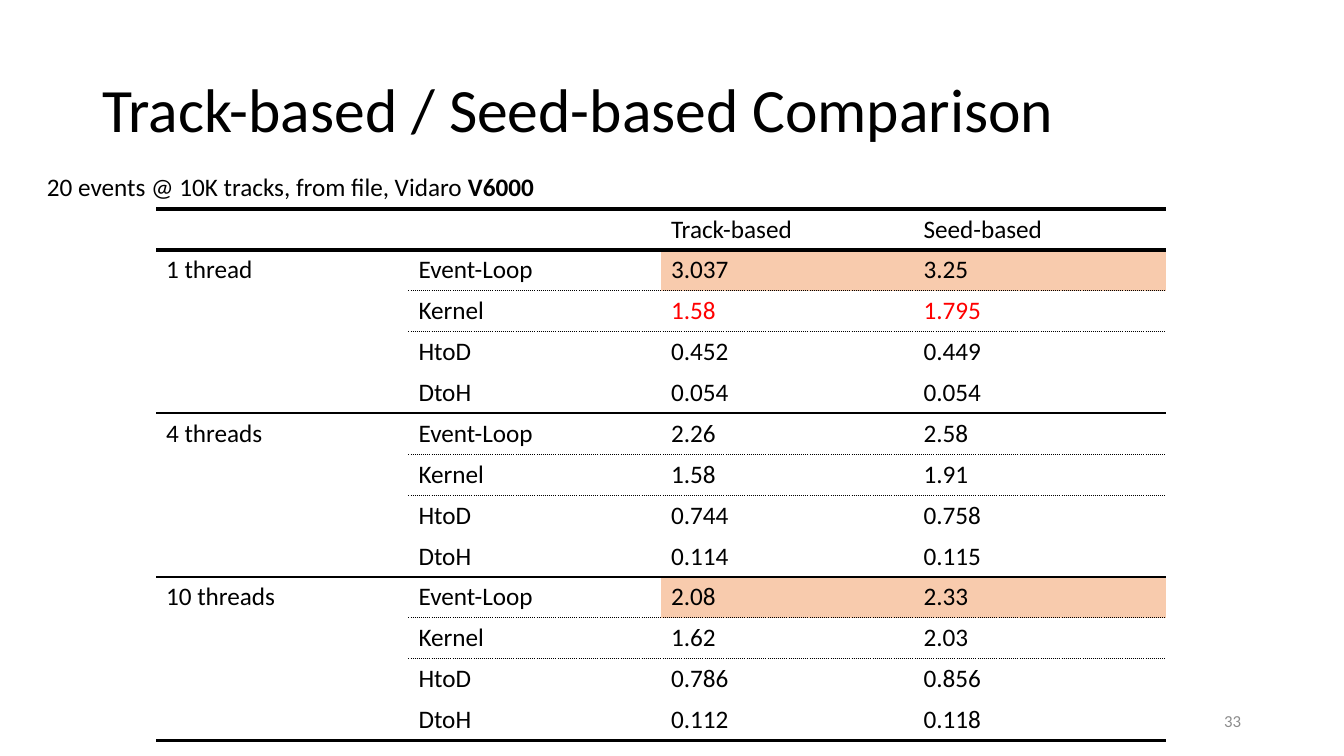
from dataclasses import dataclass
from lxml.etree import SubElement
from pptx import Presentation
from pptx.dml.color import RGBColor as RGB
from pptx.enum.text import MSO_ANCHOR as ANCHOR, PP_ALIGN as ALIGN
from pptx.oxml.ns import qn
from pptx.util import Pt

TITLE = "Track-based / Seed-based Comparison"
CAPTION = [("20 events @ 10K tracks, from file, Vidaro ", False), ("V6000", True)]
NUMBER = "33"
HEADER = ["", "", "Track-based", "Seed-based"]
STEPS = ["Event-Loop", "Kernel", "HtoD", "DtoH"]
TIMINGS = {
    "1 thread": [("3.037", "3.25"), ("1.58", "1.795"),
                 ("0.452", "0.449"), ("0.054", "0.054")],
    "4 threads": [("2.26", "2.58"), ("1.58", "1.91"),
                  ("0.744", "0.758"), ("0.114", "0.115")],
    "10 threads": [("2.08", "2.33"), ("1.62", "2.03"),
                   ("0.786", "0.856"), ("0.112", "0.118")],
}
SHADED = {("1 thread", "Event-Loop"), ("10 threads", "Event-Loop")}
RED = {("1 thread", "Kernel")}


@dataclass(frozen=True)
class Theme:
    font: str = "Calibri"
    black: str = "000000"
    red: str = "FF0000"
    grey: str = "8C8C8C"
    peach: str = "F8CBAD"
    title: int = 44
    body: int = 18
    small: int = 12


T = Theme()
SCALE = 914400 / 100.8
PLAIN_STYLE = "{2D5ABB26-0587-4C30-8999-92F81FD0307C}"
THICK, MEDIUM, DOTTED = (3, "solid"), (1.5, "solid"), (0.75, "sysDot")


def px(n):
    return round(n * SCALE)


def style(p, size, color=T.black):
    p.font.name, p.font.size = T.font, Pt(size)
    p.font.color.rgb = RGB.from_string(color)


def textbox(slide, x, y, w, h):
    sp = slide.shapes.add_textbox(px(x), px(y), px(w), px(h))
    return sp.text_frame


def rule_at(edge, last):
    if edge in (0, 1, last):
        return THICK
    return {0: MEDIUM, 1: DOTTED, 2: DOTTED}.get((edge - 1) % len(STEPS))


def border(cell, tag, rule):
    tcPr = cell._tc.get_or_add_tcPr()
    if rule is None:
        SubElement(SubElement(tcPr, qn(tag), w="0"), qn("a:noFill"))
        return
    width, dash = rule
    ln = SubElement(tcPr, qn(tag), w=str(Pt(width)))
    fill = SubElement(ln, qn("a:solidFill"))
    SubElement(fill, qn("a:srgbClr"), val=T.black)
    SubElement(ln, qn("a:prstDash"), val=dash)


def add_timings(slide):
    rows = [(HEADER, None)]
    for threads, values in TIMINGS.items():
        for step, pair in zip(STEPS, values):
            label = threads if step == STEPS[0] else ""
            rows.append(([label, step, *pair], (threads, step)))
    n = len(rows)
    frame = slide.shapes.add_table(n, len(HEADER), px(156), px(209), px(1010), px(524))
    table = frame.table
    table.first_row = table.horz_banding = False
    table._tbl.tblPr.find(qn("a:tableStyleId")).text = PLAIN_STYLE

    for r, (texts, key) in enumerate(rows):
        for c, text in enumerate(texts):
            cell = table.cell(r, c)
            top, bottom = r, r + 1
            if c == 0 and r > 0:
                top = r - (r - 1) % len(STEPS)
                bottom = top + len(STEPS)
            border(cell, "a:lnT", rule_at(top, n))
            border(cell, "a:lnB", rule_at(bottom, n))
            if c > 1 and key in SHADED:
                cell.fill.solid()
                cell.fill.fore_color.rgb = RGB.from_string(T.peach)
            else:
                cell.fill.background()
            cell.text = text
            style(cell.text_frame.paragraphs[0], T.body,
                  T.red if c > 1 and key in RED else T.black)
    for r in range(1, n, len(STEPS)):
        table.cell(r, 0).merge(table.cell(r + len(STEPS) - 1, 0))


def main():
    prs = Presentation()
    prs.slide_width, prs.slide_height = px(1344), px(756)
    slide = prs.slides.add_slide(prs.slide_layouts[5])

    title = slide.shapes.title
    title.left, title.top, title.width, title.height = map(px, (92, 40, 1159, 146))
    tf = title.text_frame
    tf.text, tf.vertical_anchor = TITLE, ANCHOR.MIDDLE
    p = tf.paragraphs[0]
    p.alignment, p.line_spacing = ALIGN.LEFT, 0.9
    style(p, T.title)

    add_timings(slide)

    tf = textbox(slide, 37, 166, 540, 40)
    tf.word_wrap = False
    p = tf.paragraphs[0]
    style(p, T.body)
    for text, bold in CAPTION:
        run = p.add_run()
        run.text, run.font.bold = text, bold

    tf = textbox(slide, 949, 701, 302, 40)
    tf.word_wrap, tf.vertical_anchor = True, ANCHOR.MIDDLE
    tf.text = NUMBER
    p = tf.paragraphs[0]
    p.alignment = ALIGN.RIGHT
    style(p, T.small, T.grey)

    prs.save("out.pptx")


if __name__ == "__main__":
    main()
